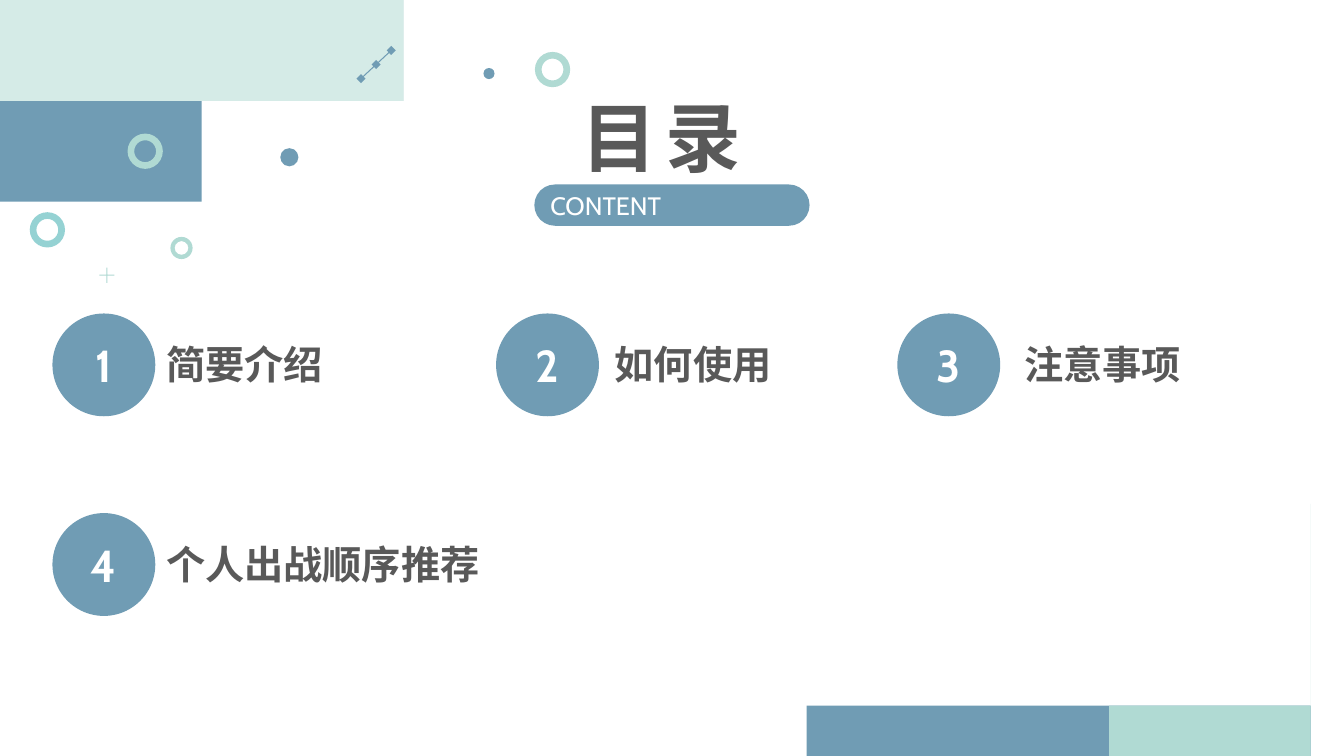
from lxml.etree import SubElement
from pptx import Presentation
from pptx.dml.color import RGBColor
from pptx.enum.lang import MSO_LANGUAGE_ID
from pptx.enum.shapes import MSO_CONNECTOR, MSO_SHAPE
from pptx.enum.text import MSO_ANCHOR, MSO_AUTO_SIZE, PP_ALIGN
from pptx.oxml.ns import qn
from pptx.util import Inches, Pt

BLUE, MINT, PALE, AQUA, GREY, WHITE = "709CB4", "B0DAD3", "D5EBE7", "72C3C5", "595959", "FFFFFF"


def paint(sp, color):
    sp.shadow.inherit = False
    sp.fill.solid()
    sp.fill.fore_color.rgb = RGBColor.from_string(color)
    sp.line.fill.background()


def write(sp, text, size, color, bold, align, anchor=MSO_ANCHOR.MIDDLE):
    tf = sp.text_frame
    tf.vertical_anchor = anchor
    p = tf.paragraphs[0]
    p.alignment = align
    r = p.add_run()
    r.text = text
    r.font.name = "Cabin"
    r.font.size = Pt(size)
    r.font.bold = bold
    r.font.color.rgb = RGBColor.from_string(color)
    r.font.language_id = MSO_LANGUAGE_ID.SIMPLIFIED_CHINESE
    return r


prs = Presentation()
prs.slide_width, prs.slide_height = Inches(13.33), Inches(7.5)
s = prs.slides.add_slide(prs.slide_layouts[5])

waves = [
    (MINT, [(5.83, 0), (5.6, 0.3), (5.05, 0.39), (4.49, 0.41), (3.48, 1.01), (2.74, 1.08),
            (1.52, 0.36), (1.41, 0)]),
    (BLUE, [(2.88, 0), (2.92, 0.6), (2.78, 1.11), (1.95, 1.7), (0.91, 1.66), (0.53, 1.6), (0, 1.92)]),
    (PALE, [(3.87, 0), (3.75, 0.38), (3.31, 0.67), (2.7, 0.59), (2.1, 0.61), (1.79, 0.86),
            (1.22, 1.06), (0.15, 0.76), (0, 0.62)]),
    (BLUE, [(7.88, 7.5), (8.46, 6.82), (9.22, 6.57), (9.7, 6.63), (10.31, 6.87), (10.95, 6.93),
            (11.49, 6.65), (12.11, 6.62), (12.56, 7.06), (12.58, 7.5)]),
    (MINT, [(11.25, 7.5), (11.37, 7.02), (11.75, 6.76), (12.23, 6.7), (12.75, 6.41), (12.82, 5.6),
            (13.16, 5.09), (13.33, 5.01)]),
]
STEPS = 12
for color, crest in waves:
    knots = [crest[0], *crest, crest[-1]]
    points = [crest[0]]
    for span in zip(knots, knots[1:], knots[2:], knots[3:]):
        for i in range(1, STEPS + 1):
            t = i / STEPS
            points.append([
                b + ((c - a) * t + (2 * a - 5 * b + 4 * c - d) * t ** 2 + (3 * b - a - 3 * c + d) * t ** 3) / 2
                for a, b, c, d in zip(*span)
            ])
    points.append((crest[-1][0], crest[0][1]))
    fb = s.shapes.build_freeform(*points[0], scale=Inches(1))
    fb.add_line_segments(points[1:], close=True)
    paint(fb.convert_to_shape(), color)

link = s.shapes.add_connector(MSO_CONNECTOR.STRAIGHT, Inches(3.58), Inches(0.78), Inches(3.88), Inches(0.5))
link.line.color.rgb = RGBColor.from_string(BLUE)
link.line.width = Pt(0.75)
SubElement(link._element.spPr, qn("a:effectLst"))

ornaments = [
    (MSO_SHAPE.DONUT, 0.35, MINT, [(1.44, 1.5), (5.48, 0.69)]),
    (MSO_SHAPE.DONUT, 0.35, AQUA, [(0.47, 2.28)]),
    (MSO_SHAPE.DONUT, 0.22, MINT, [(1.8, 2.46)]),
    (MSO_SHAPE.OVAL, 0.11, BLUE, [(4.85, 0.73)]),
    (MSO_SHAPE.OVAL, 0.18, BLUE, [(2.87, 1.56)]),
    (MSO_SHAPE.CROSS, 0.15, MINT, [(1.06, 2.73)]),
    (MSO_SHAPE.DIAMOND, 0.09, BLUE, [(3.58, 0.78), (3.73, 0.64), (3.88, 0.5)]),
]
thickness = {MSO_SHAPE.DONUT: 0.19, MSO_SHAPE.CROSS: 0.47}
for kind, size, color, centres in ornaments:
    for cx, cy in centres:
        sp = s.shapes.add_shape(kind, Inches(cx - size / 2), Inches(cy - size / 2), Inches(size), Inches(size))
        paint(sp, color)
        if kind in thickness:
            sp.adjustments[0] = thickness[kind]
        if color == AQUA:
            clr = sp._element.spPr.find(qn("a:solidFill")).find(qn("a:srgbClr"))
            SubElement(clr, qn("a:alpha"), val="75000")

title = s.shapes.title
title.left, title.top, title.width, title.height = Inches(5.67), Inches(0.85), Inches(1.99), Inches(1.01)
title.text_frame.word_wrap = True
title.text_frame.auto_size = MSO_AUTO_SIZE.NONE
r = write(title, "目录", 54, GREY, True, PP_ALIGN.JUSTIFY, MSO_ANCHOR.TOP)
r.font._element.set("spc", "600")

pill = s.shapes.add_shape(MSO_SHAPE.ROUNDED_RECTANGLE, Inches(5.3), Inches(1.83), Inches(2.73), Inches(0.41))
pill.adjustments[0] = 0.5
paint(pill, BLUE)
write(pill, "CONTENT", 18, WHITE, False, PP_ALIGN.JUSTIFY)

chapters = [
    ("简要介绍", 0.52, 1.55, 3.11),
    ("如何使用", 4.92, 6, 3.11),
    ("注意事项", 8.9, 10.06, 3.11),
    ("个人出战顺序推荐", 0.52, 1.55, 5.09),
]
for number, (name, x, name_x, y) in enumerate(chapters, 1):
    badge = s.shapes.add_shape(MSO_SHAPE.OVAL, Inches(x), Inches(y), Inches(1.02), Inches(1.02))
    paint(badge, BLUE)
    write(badge, str(number), 32, WHITE, True, PP_ALIGN.CENTER)
    name_w = 0.2 + 0.39 * len(name)
    label = s.shapes.add_textbox(Inches(name_x), Inches(y + 0.22), Inches(name_w), Inches(0.57))
    label.text_frame.word_wrap = False
    write(label, name, 28, GREY, True, PP_ALIGN.LEFT, MSO_ANCHOR.TOP)

prs.save("out.pptx")
